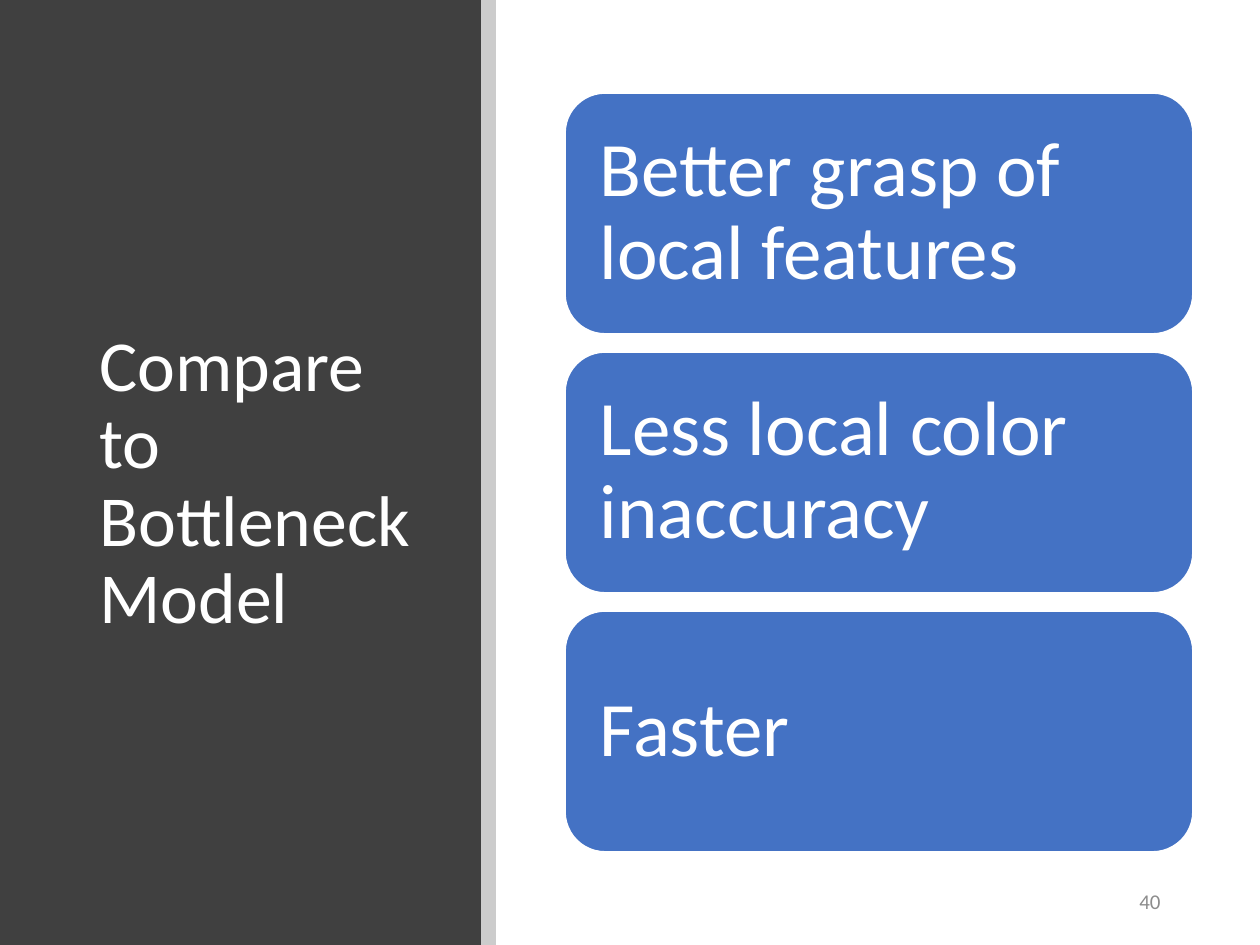
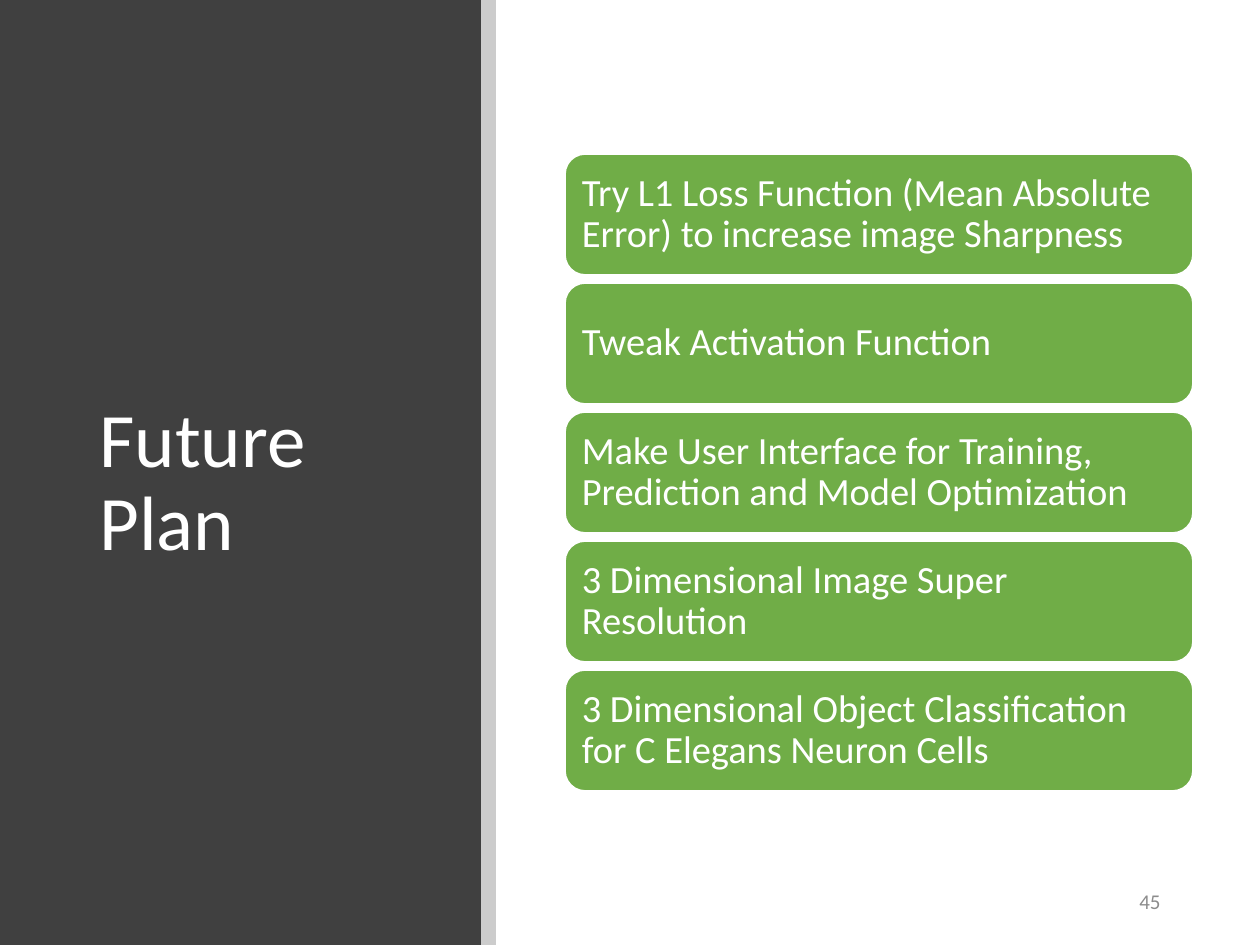
"""Build two slides with a dark title panel and a stack of rounded cards."""
from lxml import etree
from pptx import Presentation
from pptx import util as u
from pptx.dml.color import RGBColor
from pptx.enum import shapes, text
from pptx.oxml.ns import qn

PX = 914400 / 126
W, H = 1260, 945
PANEL_W, STRIP_W = 481, 15
CARD_X, CARD_W = 565, 628
WHITE, PANEL, BLACK, GREY = "FFFFFF", "404040", "000000", "8C8C8C"


def add_box(s, x, y, w, h, shape=None, fill=None, line=None):
    box = [u.Emu(round(v * PX)) for v in (x, y, w, h)]
    if shape is None:
        return s.shapes.add_textbox(*box)
    sp = s.shapes.add_shape(shape, *box)
    sp.shadow.inherit = False
    sp.fill.solid()
    sp.fill.fore_color.rgb = RGBColor.from_string(fill)
    if line:
        sp.line.color.rgb = RGBColor.from_string(line)
        sp.line.width = u.Pt(1)
    else:
        sp.line.fill.background()
    return sp


def write(sp, words, size, color=WHITE, align=text.PP_ALIGN.LEFT, spacing=0.9, inset=None):
    tf = sp.text_frame
    tf.word_wrap = True
    tf.vertical_anchor = text.MSO_ANCHOR.MIDDLE
    if inset is not None:
        pad = u.Emu(round(inset * PX))
        tf.margin_left = tf.margin_top = tf.margin_right = tf.margin_bottom = pad
    p = tf.paragraphs[0]
    p.alignment = align
    p.line_spacing = spacing
    r = p.add_run()
    r.text = words
    r.font.name = "Calibri"
    r.font.size = u.Pt(size)
    r.font.color.rgb = RGBColor.from_string(color)


slides = [
    dict(title="Compare to Bottleneck Model", title_size=41, number="40",
         fill="4472C4", size=44, card_h=241, gap=18, inset=23,
         cards=["Better grasp of local features",
                "Less local color inaccuracy",
                "Faster"]),
    dict(title="Future Plan", title_size=44, number="45",
         fill="70AD47", size=22, card_h=121, gap=8, inset=11,
         cards=["Try L1 Loss Function (Mean Absolute Error) to increase image Sharpness",
                "Tweak Activation Function",
                "Make User Interface for Training, Prediction and Model Optimization",
                "3 Dimensional Image Super Resolution",
                "3 Dimensional Object Classification for C Elegans Neuron Cells"]),
]

prs = Presentation()
prs.slide_width, prs.slide_height = u.Emu(round(W * PX)), u.Emu(round(H * PX))
rect, rounded = shapes.MSO_SHAPE.RECTANGLE, shapes.MSO_SHAPE.ROUNDED_RECTANGLE

for d in slides:
    s = prs.slides.add_slide(prs.slide_layouts[6])
    add_box(s, 0, 0, PANEL_W, H, rect, PANEL)
    write(add_box(s, 87, 112, 345, 745), d["title"], d["title_size"])
    strip = add_box(s, PANEL_W, 0, STRIP_W, H, rect, BLACK)
    clr = strip.fill._xPr.find(qn("a:solidFill"))[0]
    etree.SubElement(clr, qn("a:alpha"), val="20000")

    pitch = d["card_h"] + d["gap"]
    top = (H - len(d["cards"]) * pitch + d["gap"]) / 2
    for i, words in enumerate(d["cards"]):
        card = add_box(s, CARD_X, top + i * pitch, CARD_W, d["card_h"],
                       rounded, d["fill"], WHITE)
        write(card, words, d["size"], inset=d["inset"])

    write(add_box(s, 890, 876, 283, 50), d["number"], 12, GREY,
          text.PP_ALIGN.RIGHT, spacing=1.0)

prs.save("out.pptx")
